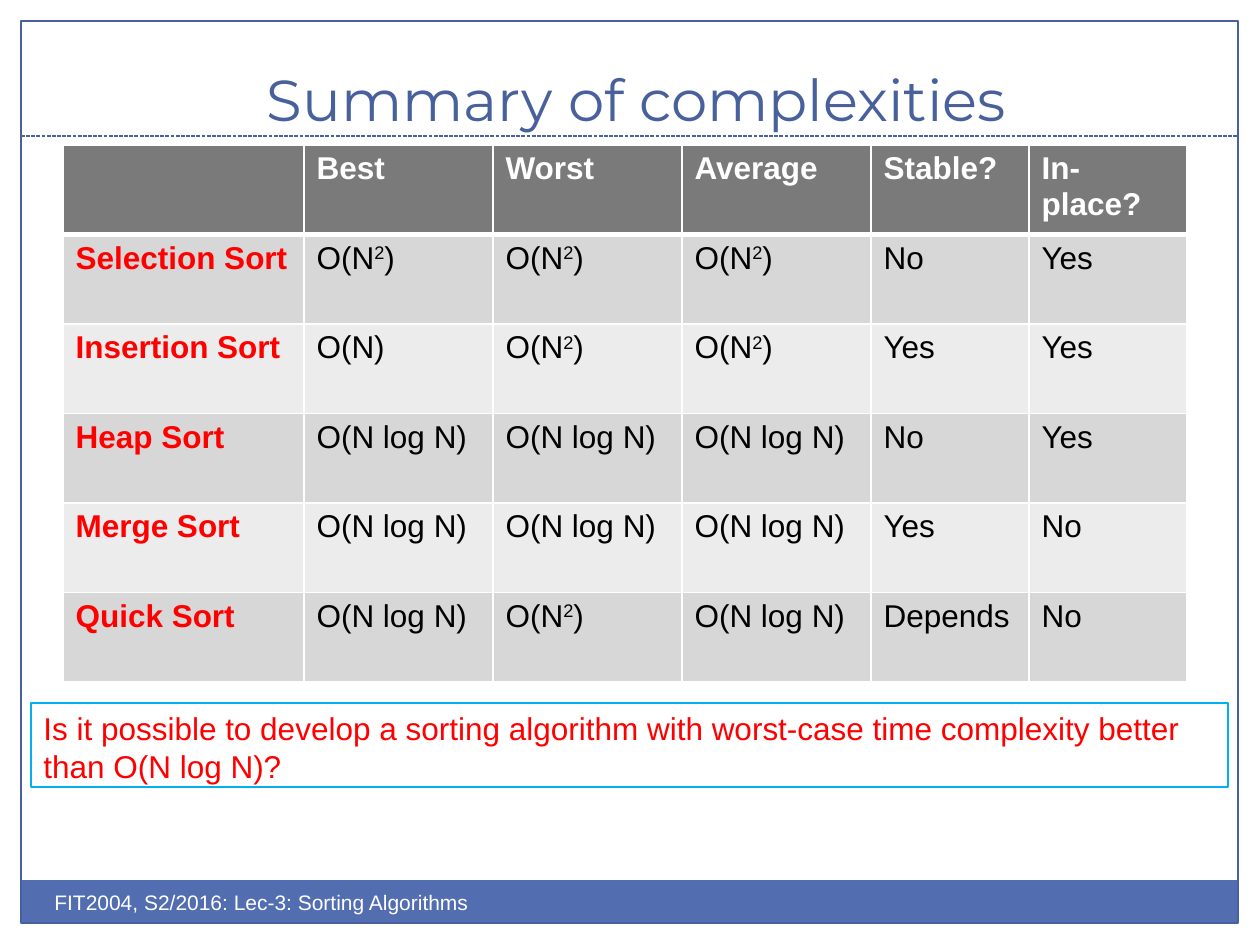
import pptx
import pptx.util
import pptx.dml.color
import pptx.enum.dml
import pptx.enum.shapes
import pptx.enum.text
from lxml import etree
from pptx.oxml.ns import qn

SCALE = 914400 / 126
BLUE, RED, WHITE, BLACK = "48609B", "FF0000", "FFFFFF", "000000"
HEAD, DARK, LIGHT = "7A7A7A", "D7D7D7", "ECECEC"
SQUARE, LOG = "O(N^2)", "O(N log N)"
COLS = [241, 189, 189, 189, 158, 158]
ROWS = [
    ["", "Best", "Worst", "Average", "Stable?", "In-place?"],
    ["Selection Sort", SQUARE, SQUARE, SQUARE, "No", "Yes"],
    ["Insertion Sort", "O(N)", SQUARE, SQUARE, "Yes", "Yes"],
    ["Heap Sort", LOG, LOG, LOG, "No", "Yes"],
    ["Merge Sort", LOG, LOG, LOG, "Yes", "No"],
    ["Quick Sort", LOG, SQUARE, LOG, "Depends", "No"],
]


def px(n):
    return pptx.util.Emu(round(n * SCALE))


def rgb(code):
    return pptx.dml.color.RGBColor.from_string(code)


def write(para, text, size, color, **style):
    """Add text to a paragraph; a part between ^ marks or before ) is raised."""
    base, mark, rest = text.partition("^")
    parts = [(base, False)]
    if mark:
        parts += [(rest[0], True), (rest[1:], False)]
    form = {"name": "Arial", "size": pptx.util.Pt(size), "bold": False, **style}
    for part, high in parts:
        run = para.add_run()
        run.text = part
        for key, value in form.items():
            setattr(run.font, key, value)
        run.font.color.rgb = rgb(color)
        if high:
            run.font._element.set("baseline", "30000")


def rect(slide, box, fill=None, line=None):
    kind = pptx.enum.shapes.MSO_SHAPE.RECTANGLE
    shape = slide.shapes.add_shape(kind, *map(px, box))
    shape.shadow.inherit = False
    if fill:
        shape.fill.solid()
        shape.fill.fore_color.rgb = rgb(fill)
    else:
        shape.fill.background()
    if line:
        shape.line.color.rgb = rgb(line)
        shape.line.width = pptx.util.Pt(0.75)
    else:
        shape.line.fill.background()
    return shape


def frame(slide, box):
    """Draw the footer band, the page border and the dashed title rule."""
    x, y, w, h = box
    rect(slide, (x, y + h - 43, w, 43), fill="526DB0")
    rect(slide, box, line=BLUE)
    kind = pptx.enum.shapes.MSO_CONNECTOR.STRAIGHT
    ends = (x, y + 115, x + w, y + 115)
    rule = slide.shapes.add_connector(kind, *map(px, ends))
    rule.line.color.rgb = rgb(BLUE)
    rule.line.width = pptx.util.Pt(0.75)
    rule.line.dash_style = pptx.enum.dml.MSO_LINE.SQUARE_DOT
    etree.SubElement(rule._element.spPr, qn("a:effectLst"))


def title(slide, box, text):
    shape = slide.shapes.title
    for key, value in zip(("left", "top", "width", "height"), box):
        setattr(shape, key, px(value))
    body = shape.text_frame
    form = {
        "auto_size": pptx.enum.text.MSO_AUTO_SIZE.NONE,
        "vertical_anchor": pptx.enum.text.MSO_ANCHOR.BOTTOM,
        "margin_bottom": px(3),
    }
    for key, value in form.items():
        setattr(body, key, value)
    para = body.paragraphs[0]
    para.alignment = pptx.enum.text.PP_ALIGN.CENTER
    write(para, text, 33, BLUE, name="Montserrat")


def edge(cell, head):
    """Put white borders round a cell, with a thick one under the header."""
    props = cell._tc.get_or_add_tcPr()
    for i, side in enumerate(("lnL", "lnR", "lnT", "lnB")):
        thick = 3 if head and side == "lnB" else 1
        line = etree.Element(qn("a:" + side), w=str(pptx.util.Pt(thick)))
        fill = etree.SubElement(line, qn("a:solidFill"))
        etree.SubElement(fill, qn("a:srgbClr"), val=WHITE)
        props.insert(i, line)


def grid(slide, box):
    """Place the table of sorting costs."""
    shape = slide.shapes.add_table(len(ROWS), len(COLS), *map(px, box))
    table = shape.table
    for col, width in zip(table.columns, COLS):
        col.width = px(width)
    for r, row in enumerate(ROWS):
        table.rows[r].height = px(box[3] / len(ROWS))
        fill = HEAD if r == 0 else (LIGHT, DARK)[r % 2]
        for c, text in enumerate(row):
            cell = table.cell(r, c)
            cell.fill.solid()
            cell.fill.fore_color.rgb = rgb(fill)
            edge(cell, r == 0 or None)
            color = WHITE if r == 0 else RED if c == 0 else BLACK
            if text:
                para = cell.text_frame.paragraphs[0]
                write(para, text, 18, color, bold=r == 0 or c == 0)


def ask(slide, box, text):
    """Place the boxed question."""
    body = rect(slide, box, line="00B0F0").text_frame
    body.word_wrap = True
    body.vertical_anchor = pptx.enum.text.MSO_ANCHOR.TOP
    para = body.paragraphs[0]
    para.alignment = pptx.enum.text.PP_ALIGN.LEFT
    write(para, text, 18, RED)


def foot(slide, box, text):
    body = slide.shapes.add_textbox(*map(px, box)).text_frame
    body.word_wrap = True
    write(body.paragraphs[0], text, 12, WHITE)


def main():
    deck = pptx.Presentation()
    deck.slide_width, deck.slide_height = px(1260), px(945)
    slide = deck.slides.add_slide(deck.slide_layouts[5])
    frame(slide, (21, 21, 1217, 902))
    title(slide, (53, -21, 1167, 157), "Summary of complexities")
    grid(slide, (63, 145, sum(COLS), 537))
    ask(slide, (31, 703, 1197, 84),
        "Is it possible to develop a sorting algorithm with worst-case "
        "time complexity better than O(N log N)?")
    foot(slide, (42, 883, 630, 50),
         "FIT2004, S2/2016: Lec-3: Sorting Algorithms")
    deck.save("out.pptx")


if __name__ == "__main__":
    main()
